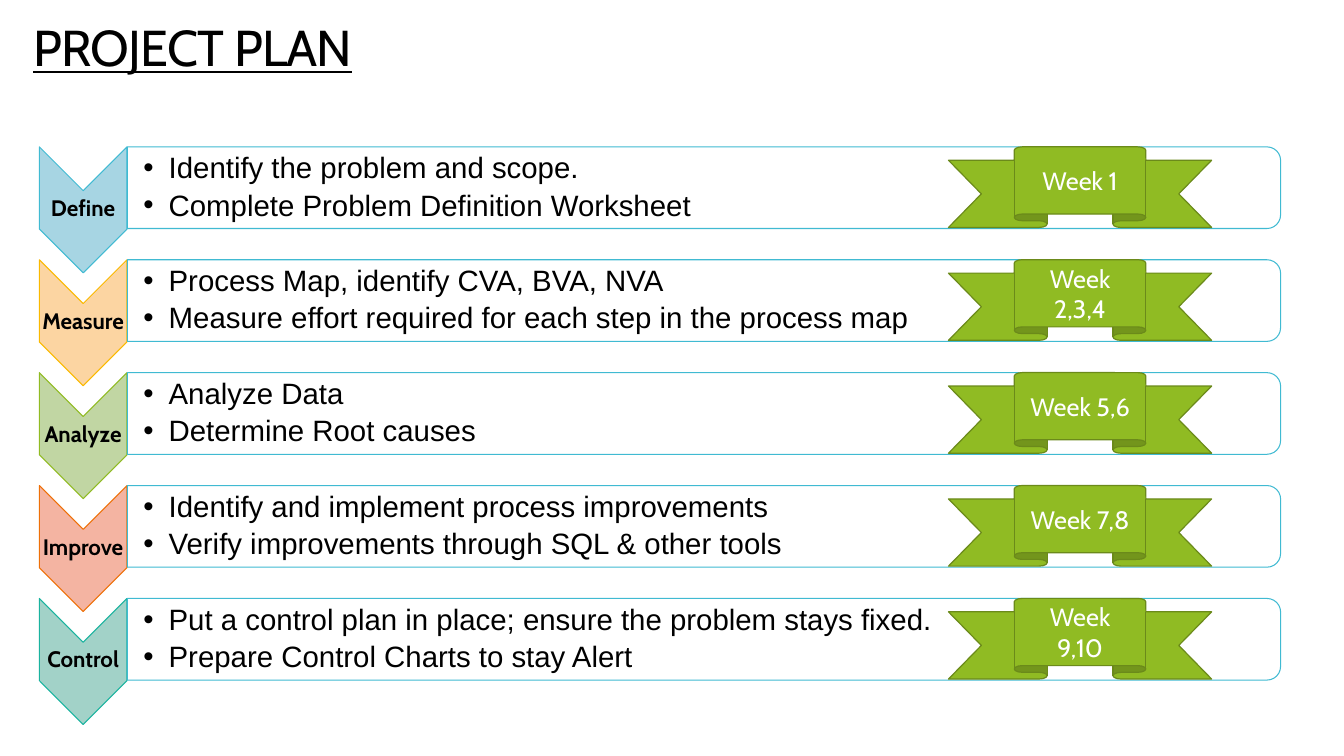
from lxml.etree import SubElement as Sub
from pptx import Presentation
from pptx.dml.color import RGBColor as RGB
from pptx.enum.shapes import MSO_SHAPE as Kind
from pptx.enum.text import MSO_ANCHOR as Anchor, MSO_AUTO_SIZE as Fit, PP_ALIGN as Align
from pptx.oxml.ns import qn
from pptx.util import Pt

TITLE = "PROJECT PLAN"
STEPS = [
    ("Define", "A7D5E3", "40BAD2", "Week 1",
     ["Identify the problem and scope.", "Complete Problem Definition Worksheet"]),
    ("Measure", "FCD5A2", "FAB900", "Week 2,3,4",
     ["Process Map, identify CVA, BVA, NVA",
      "Measure effort required for each step in the process map"]),
    ("Analyze", "C1D6A3", "90BB23", "Week 5,6",
     ["Analyze Data", "Determine Root causes"]),
    ("Improve", "F4B4A2", "EE7008", "Week 7,8",
     ["Identify and implement process improvements",
      "Verify improvements through SQL & other tools"]),
    ("Control", "A2D2C8", "1AB39F", "Week 9,10",
     ["Put a control plan in place; ensure the problem stays fixed.",
      "Prepare Control Charts to stay Alert"]),
]
COLORS = {"text": "000000", "paper": "FFFFFF", "bar": "40BAD2",
          "ribbon": "90BB23", "edge": "6B8A1A"}
TOP, PITCH = 104.9, 80.64
LEFT, TIP_W, TIP_H = 28.1, 62.6, 90
BAR_X, BAR_W, BAR_H = 91, 823.7, 58.3

deck = Presentation()
deck.slide_width, deck.slide_height = Pt(960), Pt(540)
slide = deck.slides.add_slide(deck.slide_layouts[5])
shapes = slide.shapes


def color(name):
    return RGB.from_string(COLORS.get(name, name))


def draw(kind, x, y, w, h, fill, line, width=0.75, turn=False):
    if turn:
        x, y, w, h = x + (w - h) / 2, y + (h - w) / 2, h, w
    shape = shapes.add_shape(kind, Pt(x), Pt(y), Pt(w), Pt(h))
    shape.rotation = 90 if turn else 0
    shape.shadow.inherit = False
    shape.fill.solid()
    shape.fill.fore_color.rgb = color(fill)
    shape.line.color.rgb = color(line)
    shape.line.width = Pt(width)
    return shape


def write(para, text, size, font="Cabin", ink="text", bold=False):
    run = para.add_run()
    run.text = text
    run.font.size, run.font.name, run.font.bold = Pt(size), font, bold
    run.font.color.rgb = color(ink)
    return run


def add_box(x, y, w, h, inset):
    frame = shapes.add_textbox(Pt(x), Pt(y), Pt(w), Pt(h)).text_frame
    frame.word_wrap = True
    frame.vertical_anchor = Anchor.MIDDLE
    frame.margin_left = Pt(inset)
    frame.margin_top = frame.margin_right = frame.margin_bottom = Pt(0.7)
    return frame


def add_bullet(para):
    props = para._p.get_or_add_pPr()
    props.set("marL", str(Pt(18)))
    props.set("indent", str(-Pt(18)))
    Sub(props, qn("a:buFont")).set("typeface", "Arial")
    Sub(props, qn("a:buChar")).set("char", "•")


head = shapes.title
head.left, head.top, head.width, head.height = Pt(16.6), Pt(13), Pt(576), Pt(43.2)
frame = head.text_frame
frame.auto_size = Fit.NONE
frame.vertical_anchor = Anchor.TOP
para = frame.paragraphs[0]
para.alignment = Align.LEFT
para.line_spacing = 0.9
run = write(para, TITLE, 36)
run.font.underline = True
run._r.get_or_add_rPr().set("spc", "-60")

for i, (name, fill, line, week, tasks) in enumerate(STEPS):
    y = TOP + i * PITCH
    draw(Kind.CHEVRON, LEFT, y, TIP_W, TIP_H, fill, line, turn=True)
    para = add_box(LEFT, y + 31.2, TIP_W, 26.6, 0.7).paragraphs[0]
    para.alignment = Align.CENTER
    para.line_spacing = 0.9
    write(para, name, 16, bold=True)

    bar = draw(Kind.ROUND_2_SAME_RECTANGLE, BAR_X, y, BAR_W, BAR_H,
               "paper", "bar", turn=True)
    tint = bar.fill._xPr.find(qn("a:solidFill"))[0]
    Sub(tint, qn("a:alpha")).set("val", "90000")

    frame = add_box(BAR_X, y + 3, 820.8, 52.6, 11.5)
    for j, task in enumerate(tasks):
        para = frame.add_paragraph() if j else frame.paragraphs[0]
        para.line_spacing = 0.9
        para.space_after = Pt(4)
        add_bullet(para)
        write(para, task, 21, "Arial")

for i, (name, fill, line, week, tasks) in enumerate(STEPS):
    ribbon = draw(Kind.UP_RIBBON, 677.5, TOP + i * PITCH, 188, 57.6,
                  "ribbon", "edge", 0.85)
    frame = ribbon.text_frame
    frame.word_wrap = True
    frame.vertical_anchor = Anchor.MIDDLE
    para = frame.paragraphs[0]
    para.alignment = Align.CENTER
    write(para, week, 18, ink="paper")

deck.save("out.pptx")
